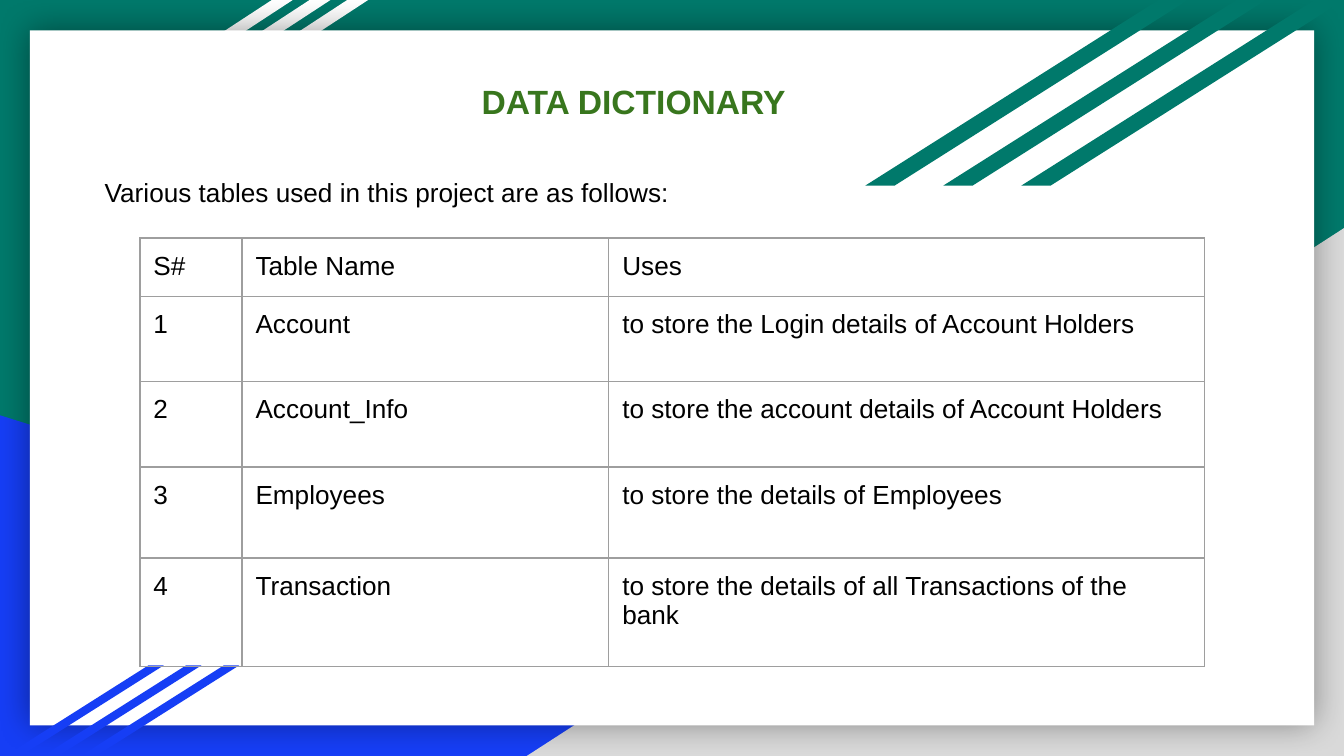
import pptx
import pptx.util
import pptx.dml.color
import pptx.enum.shapes
import pptx.enum.text
import pptx.oxml
import pptx.oxml.ns
from dataclasses import dataclass

Pt = pptx.util.Pt
SHAPE = pptx.enum.shapes.MSO_SHAPE
ALIGN = pptx.enum.text.PP_ALIGN
ANCHOR = pptx.enum.text.MSO_ANCHOR


@dataclass(frozen=True)
class Theme:
    green: str = "00796B"
    blue: str = "163EF5"
    gray: str = "D9D9D9"
    white: str = "FFFFFF"
    black: str = "000000"
    heading: str = "38761D"
    border: str = "9E9E9E"
    font: str = "Arial"
    title_size: int = 18
    body_size: int = 14
    inset: float = 7.2


T = Theme()

COLUMNS = [54.7, 196.5, 318.9]
ROW_HEIGHTS = [30.2, 45.5, 46, 48.7, 58]
ROWS = [
    ("S#", "Table Name", "Uses"),
    ("1", "Account", "to store the Login details of Account Holders"),
    ("2", "Account_Info", "to store the account details of Account Holders"),
    ("3", "Employees", "to store the details of Employees"),
    ("4", "Transaction", "to store the details of all Transactions of the bank"),
]


def rgb(color):
    return pptx.dml.color.RGBColor.from_string(color)


def xml(body):
    tag, rest = body.split(" ", 1)
    return pptx.oxml.parse_xml(f"{tag} {pptx.oxml.ns.nsdecls('a')} {rest}")


def write(tf, text, size=T.body_size, color=T.black, bold=False, align=ALIGN.LEFT):
    p = tf.paragraphs[0]
    p.alignment = align
    r = p.add_run()
    r.text = text
    r.font.name = T.font
    r.font.size = Pt(size)
    r.font.bold = bold
    r.font.color.rgb = rgb(color)


def add_text(s, box, text, top=T.inset, anchor=ANCHOR.TOP, **fmt):
    tf = s.shapes.add_textbox(*map(Pt, box)).text_frame
    tf.word_wrap = True
    tf.vertical_anchor = anchor
    tf.margin_left = tf.margin_right = tf.margin_bottom = Pt(T.inset)
    tf.margin_top = Pt(top)
    write(tf, text, **fmt)


def add_shape(shapes, kind, box, color):
    sp = shapes.add_shape(kind, *map(Pt, box))
    sp.shadow.inherit = False
    sp.fill.solid()
    sp.fill.fore_color.rgb = rgb(color)
    sp.line.fill.background()
    return sp


def add_stripes(s, box, gap, slant, color):
    left, top, width, height = box
    group = s.shapes.add_group_shape()
    for i in range(3):
        sp = add_shape(group.shapes, SHAPE.PARALLELOGRAM,
                       (left - i * gap, top, width, height), color)
        sp.adjustments[0] = slant


def add_card(s, box):
    sp = add_shape(s.shapes, SHAPE.RECTANGLE, box, T.white)
    effects = sp._element.spPr.find(pptx.oxml.ns.qn("a:effectLst"))
    effects.append(xml(
        f'<a:outerShdw blurRad="{Pt(18)}" dist="0" dir="0" algn="ctr" rotWithShape="0">'
        f'<a:srgbClr val="{T.black}"><a:alpha val="40000"/></a:srgbClr></a:outerShdw>'))


def add_borders(cell):
    tcPr = cell._tc.get_or_add_tcPr()
    for i, side in enumerate(("lnL", "lnR", "lnT", "lnB")):
        tcPr.insert(i, xml(
            f'<a:{side} w="{Pt(0.75)}"><a:solidFill><a:srgbClr val="{T.border}"/>'
            f'</a:solidFill></a:{side}>'))


def add_table(s, left, top):
    table = s.shapes.add_table(len(ROWS), len(COLUMNS), Pt(left), Pt(top),
                               Pt(sum(COLUMNS)), Pt(sum(ROW_HEIGHTS))).table
    table.first_row = table.horz_banding = False
    for column, width in zip(table.columns, COLUMNS):
        column.width = Pt(width)
    for row, height, texts in zip(table.rows, ROW_HEIGHTS, ROWS):
        row.height = Pt(height)
        for cell, text in zip(row.cells, texts):
            cell.margin_left = cell.margin_right = Pt(T.inset)
            cell.margin_top = cell.margin_bottom = Pt(T.inset)
            cell.fill.background()
            add_borders(cell)
            write(cell.text_frame, text)


def add_backdrop(s):
    s.background.fill.solid()
    s.background.fill.fore_color.rgb = rgb(T.green)
    add_shape(s.shapes, SHAPE.RIGHT_TRIANGLE, (0, 222.5, 580.3, 182.5), T.blue)
    corner = add_shape(s.shapes, SHAPE.RIGHT_TRIANGLE, (282.2, 122.2, 437.8, 282.8), T.gray)
    corner._element.spPr.xfrm.set("flipH", "1")
    add_stripes(s, (60.5, 0, 136.8, 82.1), 20.2, 1.53, T.white)
    add_card(s, (16, 16.2, 688, 372.4))
    add_stripes(s, (43.2, 356.4, 85, 48.6), 20.2, 1.58, T.blue)
    add_stripes(s, (547.2, 0, 172.8, 99.4), 41.8, 1.58, T.green)


def main():
    prs = pptx.Presentation()
    prs.slide_width, prs.slide_height = Pt(720), Pt(405)
    s = prs.slides.add_slide(prs.slide_layouts[6])
    add_backdrop(s)
    add_text(s, (214.6, 36, 249.8, 36.7), "DATA DICTIONARY", anchor=ANCHOR.MIDDLE,
             size=T.title_size, color=T.heading, bold=True, align=ALIGN.CENTER)
    add_text(s, (49, 77.8, 324, 68.4),
             "Various tables used in this project are as follows:", top=23.6)
    add_table(s, 75, 127.5)
    prs.save("out.pptx")


if __name__ == "__main__":
    main()
